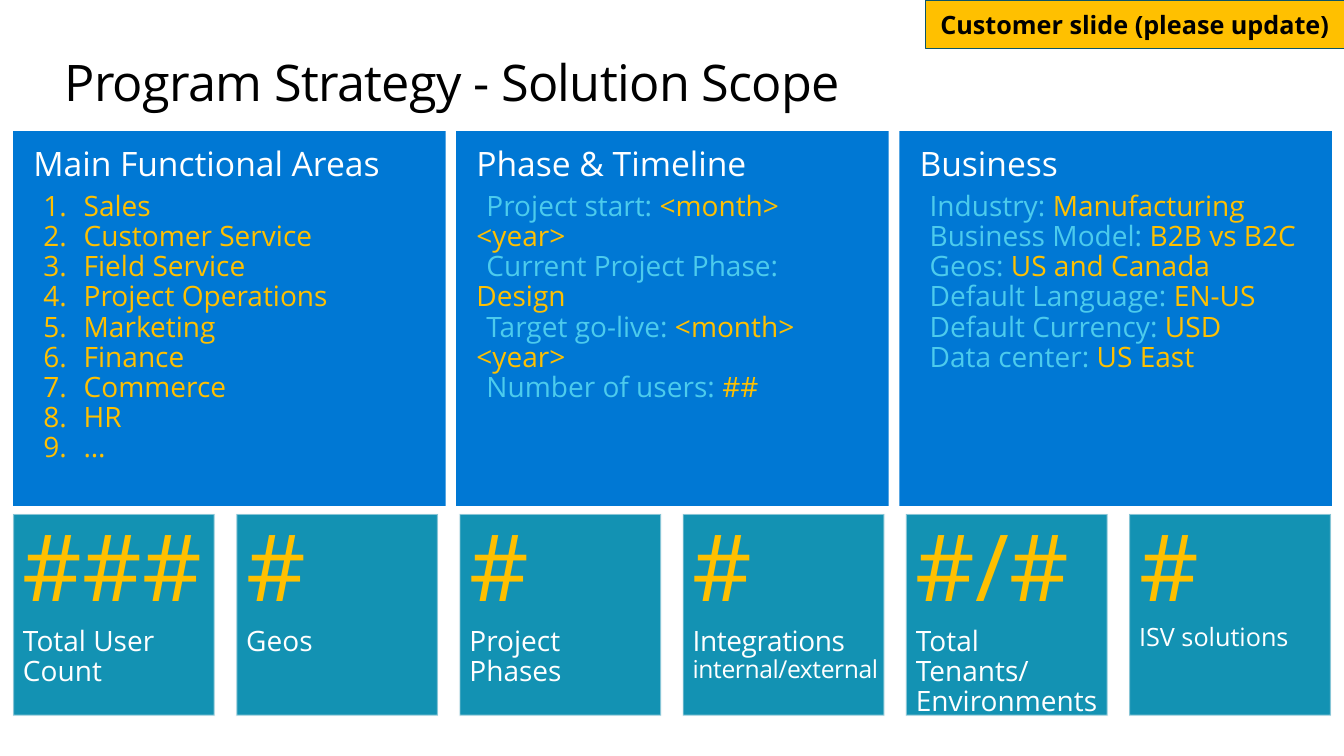
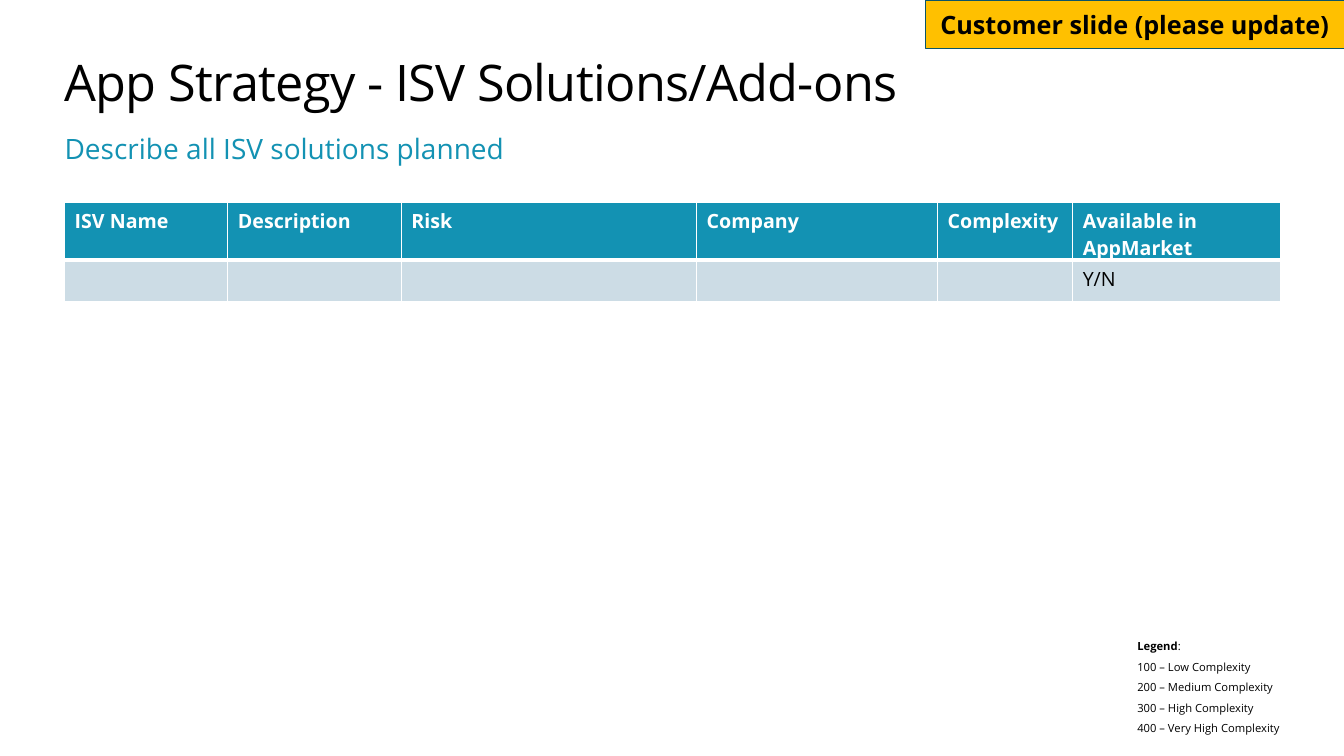
from lxml import etree
from pptx import Presentation
from pptx.dml.color import RGBColor
from pptx.enum.shapes import MSO_SHAPE
from pptx.enum.text import MSO_ANCHOR, MSO_AUTO_SIZE, PP_ALIGN
from pptx.oxml.ns import qn
from pptx.util import Inches, Pt

FONT = "Open Sans"
BLACK = RGBColor(0x00, 0x00, 0x00)
WHITE = RGBColor(0xFF, 0xFF, 0xFF)
GOLD = RGBColor(0xFF, 0xC0, 0x00)
BLUE = RGBColor(0x00, 0x78, 0xD4)
SKY = RGBColor(0x4C, 0xCB, 0xED)
TEAL = RGBColor(0x13, 0x92, 0xB3)
DARK_TEAL = RGBColor(0x0B, 0x55, 0x69)
PALE = RGBColor(0xCC, 0xDC, 0xE5)
MIST = RGBColor(0xF9, 0xF9, 0xF9)
RECTANGLE = MSO_SHAPE.RECTANGLE
TOP, MIDDLE = MSO_ANCHOR.TOP, MSO_ANCHOR.MIDDLE
LEFT, CENTER = PP_ALIGN.LEFT, PP_ALIGN.CENTER
GROW = MSO_AUTO_SIZE.SHAPE_TO_FIT_TEXT
MARGIN, CONTENT_WIDTH = 0.64, 12.05
GRID_LEFT = 0.13


def style_paragraph(paragraph, size, colors, bold=False, spacing=0, align=LEFT):
    paragraph.alignment = align
    for run, color in zip(paragraph.runs, colors):
        run.font.name = FONT
        run.font.size = Pt(size)
        run.font.bold = bold
        run.font.color.rgb = color
        if spacing:
            run.font._element.set("spc", str(spacing))


def set_frame(frame, anchor, side, end, right=None):
    frame.word_wrap = True
    frame.vertical_anchor = anchor
    frame.margin_left = Inches(side)
    frame.margin_right = Inches(side if right is None else right)
    frame.margin_top = frame.margin_bottom = Inches(end)


prs = Presentation()
prs.slide_width, prs.slide_height = Inches(13.33), Inches(7.5)
scope_slide = prs.slides.add_slide(prs.slide_layouts[5])
isv_slide = prs.slides.add_slide(prs.slide_layouts[1])

for slide, heading in (
    (scope_slide, "Program Strategy - Solution Scope"),
    (isv_slide, "App Strategy - ISV Solutions/Add-ons"),
):
    banner = slide.shapes.add_shape(RECTANGLE, Inches(9.18), 0, Inches(4.15), Inches(0.48))
    banner.shadow.inherit = False
    banner.fill.solid()
    banner.fill.fore_color.rgb = GOLD
    banner.line.color.rgb = DARK_TEAL
    banner.line.width = Pt(0.25)
    banner.text_frame.text = "Customer slide (please update)"
    set_frame(banner.text_frame, MIDDLE, 0.1, 0.05)
    style_paragraph(banner.text_frame.paragraphs[0], 18, [BLACK], bold=True, align=CENTER)

    title = slide.shapes.title
    title.left, title.top = Inches(MARGIN), Inches(0.5)
    title.width, title.height = Inches(CONTENT_WIDTH), Inches(0.61)
    title.text_frame.text = heading
    set_frame(title.text_frame, MIDDLE, 0, 0)
    title.text_frame.auto_size = GROW
    style_paragraph(title.text_frame.paragraphs[0], 36, [BLACK], spacing=-50)

areas = ["Sales", "Customer Service", "Field Service", "Project Operations", "Marketing",
         "Finance", "Commerce", "HR", "…"]
timeline = [("Project start: ", "<month> <year>"), ("Current Project Phase: ", "Design"),
            ("Target go-live: ", "<month> <year>"), ("Number of users: ", "##")]
business = [("Industry: ", "Manufacturing"), ("Business Model: ", "B2B vs B2C"),
            ("Geos: ", "US and Canada"), ("Default Language: ", "EN-US"),
            ("Default Currency: ", "USD"), ("Data center: ", "US East")]
panels = [
    ("Main Functional Areas", [(area,) for area in areas], 0.5, -0.4),
    ("Phase & Timeline", timeline, 0, 0.1),
    ("Business", business, 0.39, -0.29),
]
panel_pitch = (8.92 - GRID_LEFT) / 2
for column, (heading, entries, margin, indent) in enumerate(panels):
    panel = scope_slide.shapes.add_shape(
        RECTANGLE, Inches(GRID_LEFT + column * panel_pitch), Inches(1.3),
        Inches(4.29), Inches(3.72))
    panel.shadow.inherit = False
    panel.fill.solid()
    panel.fill.fore_color.rgb = BLUE
    panel.line.fill.background()
    frame = panel.text_frame
    set_frame(frame, TOP, 0.2, 0.16)
    frame.text = heading
    frame.paragraphs[0].line_spacing = 0.9
    frame.paragraphs[0].space_after = Pt(6)
    style_paragraph(frame.paragraphs[0], 24, [WHITE])
    for entry in entries:
        paragraph = frame.add_paragraph()
        for part in entry:
            paragraph.add_run().text = part
        paragraph.line_spacing = 0.9
        style_paragraph(paragraph, 20, [SKY, GOLD][-len(entry):])
        properties = paragraph._p.get_or_add_pPr()
        properties.set("marL", str(Inches(margin)))
        properties.set("indent", str(Inches(indent)))
        if len(entry) == 1:
            etree.SubElement(properties, qn("a:buAutoNum"), type="arabicPeriod")

tiles = [
    ("###", ["Total User Count"], 20),
    ("#", ["Geos"], 20),
    ("#", ["Project Phases"], 20),
    ("#", ["Integrations ", "internal/external"], 20),
    ("#/#", ["Total Tenants/ Environments"], 20),
    ("#", ["ISV solutions"], 18),
]
tile_pitch = (11.2 - GRID_LEFT) / 5
for column, (figure, label, size) in enumerate(tiles):
    tile = scope_slide.shapes.add_shape(
        RECTANGLE, Inches(GRID_LEFT + column * tile_pitch), Inches(5.1), Inches(2), Inches(2))
    tile.shadow.inherit = False
    tile.fill.solid()
    tile.fill.fore_color.rgb = TEAL
    tile.line.color.rgb = MIST
    tile.line.width = Pt(1.35)
    line_color = tile.line._ln.find(".//" + qn("a:srgbClr"))
    etree.SubElement(line_color, qn("a:alpha"), val="50000")
    has_detail = len(label) > 1
    frame = tile.text_frame
    set_frame(frame, TOP, 0.1, 0.16, right=0 if has_detail else 0.1)
    frame.text = figure
    style_paragraph(frame.paragraphs[0], 66, [GOLD])
    caption = frame.add_paragraph()
    for part in label:
        caption.add_run().text = part
    style_paragraph(caption, size, [WHITE, WHITE], spacing=-30 if has_detail else 0)
    if has_detail:
        caption.runs[1].font.size = Pt(17.6)
    frame.paragraphs[0].line_spacing = 0.8
    caption.line_spacing = 0.9 if size == 20 else 0.8
    for paragraph in frame.paragraphs:
        paragraph.space_after = Pt(5.9)

subtitle = isv_slide.placeholders[1]
subtitle.left, subtitle.top = Inches(MARGIN), Inches(1.3)
subtitle.width, subtitle.height = Inches(CONTENT_WIDTH), Inches(0.5)
subtitle.text_frame.text = "Describe all ISV solutions planned"
set_frame(subtitle.text_frame, TOP, 0, 0)
subtitle.text_frame.auto_size = GROW
style_paragraph(subtitle.text_frame.paragraphs[0], 20, [TEAL])
properties = subtitle.text_frame.paragraphs[0]._p.get_or_add_pPr()
properties.set("marL", "0")
properties.set("indent", "0")
etree.SubElement(properties, qn("a:buNone"))

isv_rows = [
    ["ISV Name", "Description", "Risk", "Company", "Complexity", "Available in AppMarket"],
    ["", "", "", "", "", "Y/N"],
]
column_widths = [1.62, 1.72, 2.93, 2.39, 1.34, 2.06]
isv_table = isv_slide.shapes.add_table(
    2, 6, Inches(MARGIN), Inches(2.01), Inches(CONTENT_WIDTH), Inches(0.97)).table
for column, width in zip(isv_table.columns, column_widths):
    column.width = Inches(width)
for row, height in zip(isv_table.rows, (0.57, 0.41)):
    row.height = Inches(height)
for row_index, row_texts in enumerate(isv_rows):
    is_header = row_index == 0
    for column_index, text in enumerate(row_texts):
        cell = isv_table.cell(row_index, column_index)
        cell.text = text
        paragraph = cell.text_frame.paragraphs[0]
        style_paragraph(paragraph, 14, [WHITE if is_header else BLACK], bold=is_header)
        paragraph._p.get_or_add_endParaRPr().set("sz", "1400")
        cell_properties = cell._tc.get_or_add_tcPr()
        top_width, bottom_width = (1, 3) if is_header else (3, 1)
        for side, width in (("L", 1), ("R", 1), ("T", top_width), ("B", bottom_width)):
            border = etree.SubElement(cell_properties, qn("a:ln" + side), w=str(Pt(width)))
            border_fill = etree.SubElement(border, qn("a:solidFill"))
            etree.SubElement(border_fill, qn("a:srgbClr"), val=str(WHITE))
        cell.fill.solid()
        cell.fill.fore_color.rgb = TEAL if is_header else PALE

legend = isv_slide.shapes.add_textbox(Inches(11.08), Inches(6.2), Inches(1.95), Inches(1.27))
set_frame(legend.text_frame, TOP, 0.2, 0.16)
legend.text_frame.auto_size = GROW
legend.text_frame.text = "Legend"
legend.text_frame.paragraphs[0].add_run().text = ":"
for level in ("100 – Low", "200 – Medium", "300 – High", "400 – Very High"):
    legend.text_frame.add_paragraph().text = level + " Complexity"
for paragraph in legend.text_frame.paragraphs:
    style_paragraph(paragraph, 8, [BLACK, BLACK])
    paragraph.line_spacing = 0.9
    paragraph.space_after = Pt(6)
legend.text_frame.paragraphs[0].runs[0].font.bold = True

prs.save("out.pptx")
